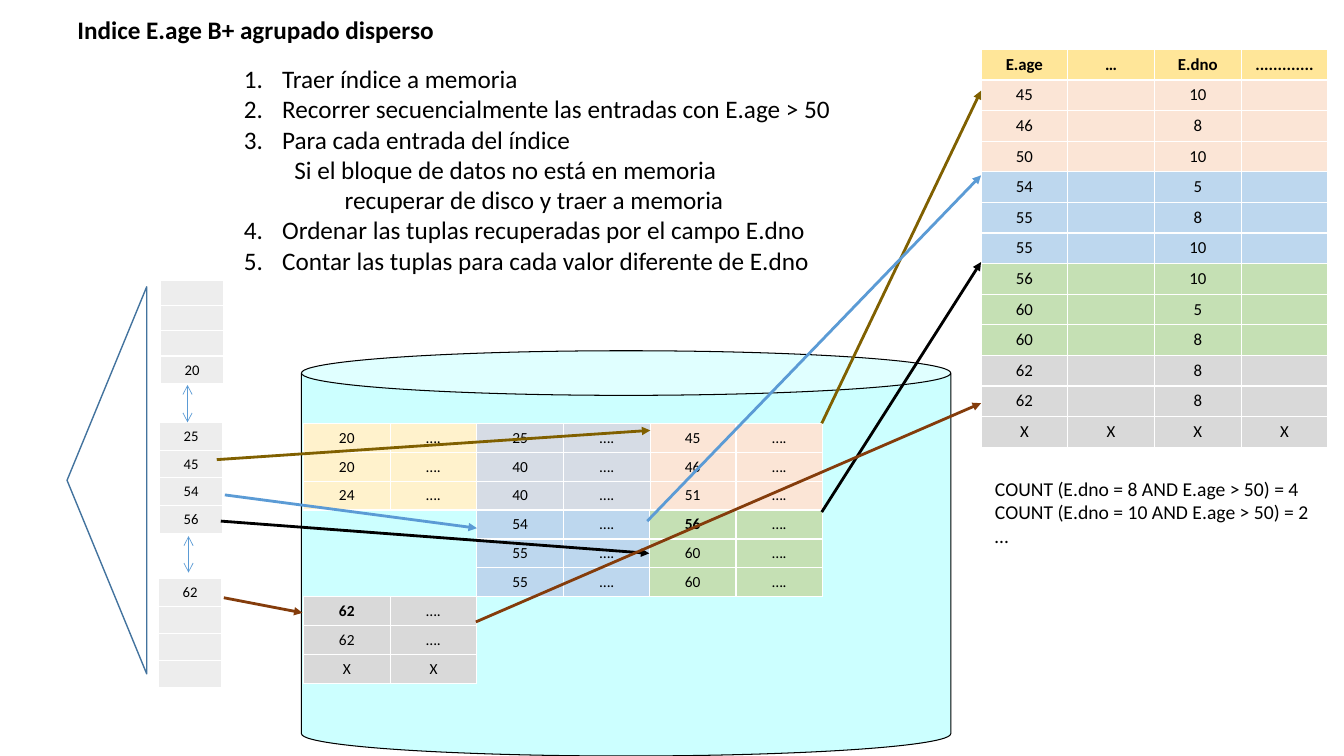
from pptx import Presentation
from pptx.util import Inches, Pt
from pptx.dml.color import RGBColor
from pptx.enum import shapes, text
from pptx.oxml.ns import qn
from lxml import etree

INK = {"black": "000000", "white": "FFFFFF", "gold": "FFE699", "cream": "FFF2CC",
       "slate": "D6DCE5", "peach": "FBE5D6", "blue": "BDD7EE", "green": "C5E0B4",
       "gray": "D9D9D9", "pale": "EDEDED", "aqua": "CCFFFF", "edge": "43739E",
       "olive": "806000", "sky": "5B9BD5", "brown": "843C0B"}

TITLE = "Indice E.age B+ agrupado disperso"
STEPS = [(0, "Traer índice a memoria"),
         (0, "Recorrer secuencialmente las entradas con E.age > 50"),
         (0, "Para cada entrada del índice"),
         (1, "Si el bloque de datos no está en memoria"),
         (1, "\trecuperar de disco y traer a memoria"),
         (0, "Ordenar las tuplas recuperadas por el campo E.dno"),
         (0, "Contar las tuplas para cada valor diferente de E.dno")]
COUNTS = ["COUNT (E.dno = 8 AND E.age > 50) = 4",
          "COUNT (E.dno = 10 AND E.age > 50) = 2", "…"]

HEADS = ["E.age", "…", "E.dno", "............."]
PAIRS = [(45, 10), (46, 8), (50, 10), (54, 5), (55, 8), (55, 10),
         (56, 10), (60, 5), (60, 8), (62, 8), (62, 8)]
BANDS = ["gold"] + [tint for tint in ("peach", "blue", "green", "gray") for _ in range(3)]

BLOCKS = [(3.01, 5.92, "gray", ["62", "62", "X"], True),
          (6.44, 4.2, "peach", ["45", "46", "51"], False),
          (4.73, 5.06, "blue", ["54", "55", "55"], False),
          (6.44, 5.06, "green", ["56", "60", "60"], True),
          (3.01, 4.2, "cream", ["20", "20", "24"], False),
          (4.73, 4.2, "slate", ["25", "40", "40"], False)]
LEAVES = [(1.59, 2.78, 0.25, ["", "", "", "20"]),
          (1.58, 4.19, 0.27, ["25", "45", "54", "56"]),
          (1.57, 5.74, 0.27, ["62", "", "", ""])]
GAPS = [(1.86, 4.19, 1.86, 3.82), (1.87, 5.68, 1.87, 5.32)]
ROUTES = [("olive", (2.15, 4.56, 6.45, 4.27), (8.15, 4.2, 9.73, 0.9)),
          ("sky", (2.23, 4.91, 4.73, 5.24), (6.42, 5.17, 9.73, 1.74)),
          ("black", (2.19, 5.17, 6.44, 5.49), (8.15, 5.08, 9.73, 2.6)),
          ("brown", (2.22, 5.93, 3, 6.08), (4.72, 6.17, 9.73, 4))]

deck = Presentation()
deck.slide_width, deck.slide_height = Inches(13.33), Inches(7.5)
slide = deck.slides.add_slide(deck.slide_layouts[6])
parts = slide.shapes


def tint(name):
    return RGBColor.from_string(INK[name])


def style(para, size, bold=False):
    for run in para.runs:
        font = run.font
        font.name, font.size, font.bold = "Calibri", Pt(size), bold
        font.color.rgb = tint("black")


def grid(left, top, width, rows, high, tints, size, bolds=()):
    table = parts.add_table(len(rows), len(rows[0]), Inches(left), Inches(top),
                            Inches(width * len(rows[0])), Inches(sum(high))).table
    table.horz_banding = False
    for col in table.columns:
        col.width = Inches(width)
    for r, row in enumerate(rows):
        table.rows[r].height = Inches(high[r])
        for c, word in enumerate(row):
            cell = table.cell(r, c)
            cell.fill.solid()
            cell.fill.fore_color.rgb = tint(tints[r])
            para = cell.text_frame.paragraphs[0]
            para.alignment = text.PP_ALIGN.CENTER
            if word:
                para.text = word
                style(para, size, (r, c) in bolds)
            else:
                etree.SubElement(para._p, qn("a:endParaRPr"), sz="900")


def write(left, top, width, height, lines, size, wrap, bold=False):
    box = parts.add_textbox(Inches(left), Inches(top), Inches(width), Inches(height))
    frame = box.text_frame
    frame.text = "\n".join(lines)
    frame.word_wrap = wrap
    frame.auto_size = text.MSO_AUTO_SIZE.SHAPE_TO_FIT_TEXT
    for para in frame.paragraphs:
        style(para, size, bold)
    return frame.paragraphs


def shape(kind, left, top, width, height, fill, edge, weight):
    item = parts.add_shape(kind, Inches(left), Inches(top), Inches(width), Inches(height))
    item.shadow.inherit = False
    item.fill.solid()
    item.fill.fore_color.rgb = tint(fill)
    item.line.color.rgb = tint(edge)
    item.line.width = Pt(weight)
    return item


def arrow(ends, color, weight, **tips):
    item = parts.add_connector(shapes.MSO_CONNECTOR.STRAIGHT, *map(Inches, ends))
    item.line.color.rgb = tint(color)
    item.line.width = Pt(weight)
    for tag, kind in tips.items():
        etree.SubElement(item.line._ln, qn("a:" + tag), type=kind)
    etree.SubElement(item._element.spPr, qn("a:effectLst"))


people = [HEADS] + [[str(age), "", str(dno), ""] for age, dno in PAIRS] + [["X"] * 4]
grid(9.73, 0.49, 0.86, people, [0.3] * 13, BANDS, 12, [(0, c) for c in range(4)])
write(0.67, 0.09, 3.76, 0.4, [TITLE], 18, False, True)

disk = shape(shapes.MSO_SHAPE.CAN, 2.99, 3.48, 6.44, 4.02, "aqua", "black", 0.75)
disk.adjustments[0] = 0.11
for left, top, color, ages, strong in BLOCKS:
    rows = [[age, "X" if age == "X" else "…."] for age in ages]
    grid(left, top, 0.86, rows, [0.86 / 3] * 3, [color] * 3, 11, [(0, 0)] if strong else [])

tree = shape(shapes.MSO_SHAPE.ISOSCELES_TRIANGLE, -0.86, 4.37, 3.84, 0.79, "white", "edge", 1)
tree.rotation = 270
for left, top, high, keys in LEAVES:
    grid(left, top, 0.63, [[key] for key in keys], [high] * 3 + [0.27], ["pale"] * 4, 10.5)
for ends in GAPS:
    arrow(ends, "sky", 0.5, headEnd="arrow", tailEnd="arrow")
for color, *legs in ROUTES:
    for ends in legs:
        arrow(ends, color, 2, tailEnd="triangle")

paras = write(2.32, 0.58, 6.08, 2.22, [line for _, line in STEPS], 18, False)
for para, (level, _) in zip(paras, STEPS):
    para.level = level
    props = para._p.get_or_add_pPr()
    props.set("marL", str(Inches(0.5 if level else 0.38)))
    props.set("indent", str(Inches(0 if level else -0.38)))
    if not level:
        etree.SubElement(props, qn("a:buFont"), typeface="+mj-lt")
        etree.SubElement(props, qn("a:buAutoNum"), type="arabicPeriod")
write(9.77, 4.68, 3.39, 0.81, COUNTS, 14, True)

deck.save("out.pptx")
